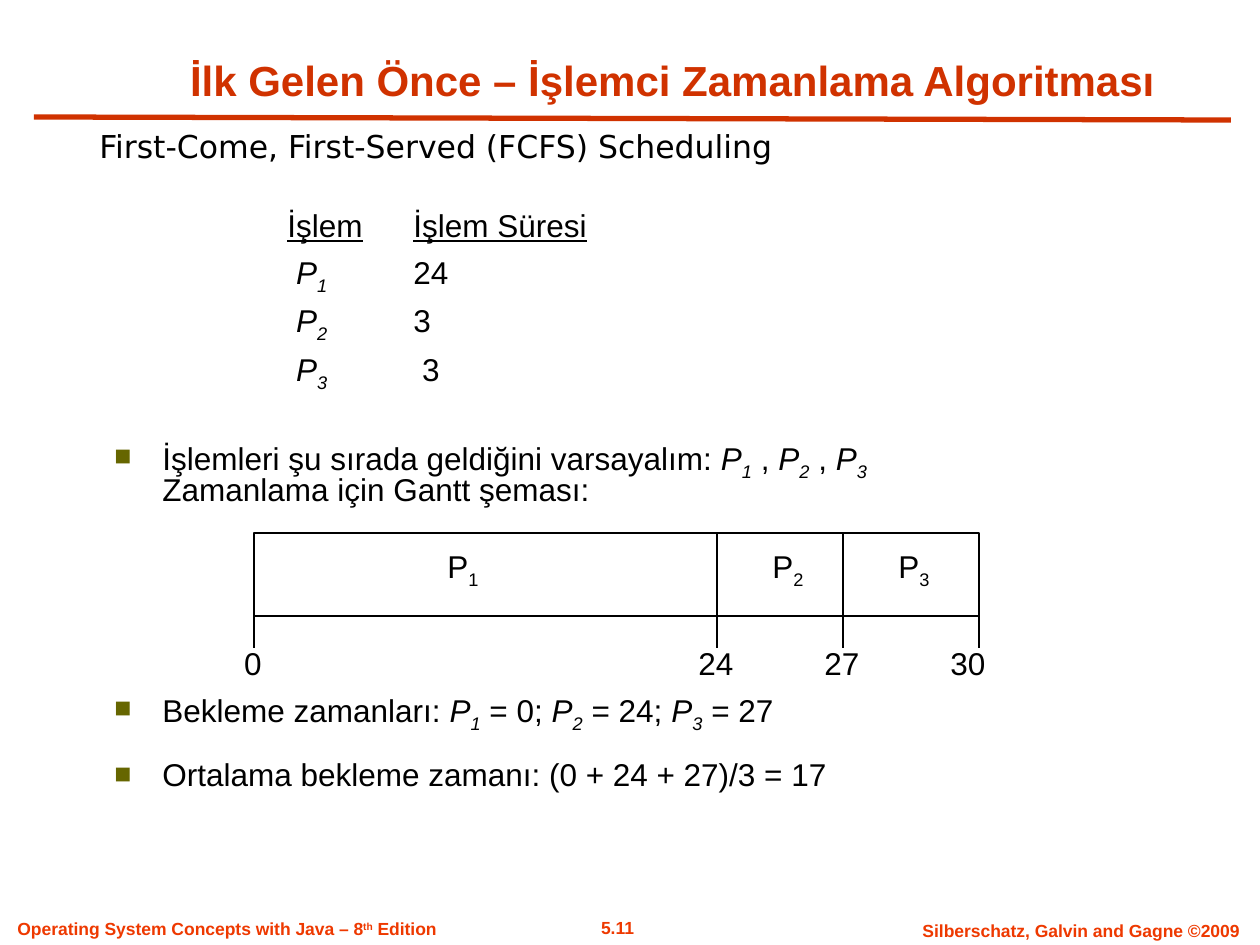
import pptx
import pptx.util
import pptx.dml.color
import pptx.enum.shapes
import pptx.enum.text
from pptx.oxml.ns import qn
from lxml import etree

PX = 914400 // 126
ALIGN = pptx.enum.text.PP_ALIGN
MIDDLE = pptx.enum.text.MSO_ANCHOR.MIDDLE
BOTTOM = pptx.enum.text.MSO_ANCHOR.BOTTOM
LINE = pptx.enum.shapes.MSO_CONNECTOR.STRAIGHT
Pt = pptx.util.Pt
rgb = pptx.dml.color.RGBColor.from_string

deck = pptx.Presentation()
deck.slide_width, deck.slide_height = 1260 * PX, 945 * PX
slide = deck.slides.add_slide(deck.slide_layouts[6])
shapes = slide.shapes


def write(par, text, size=18, color="000000", bold=False, slant=True, shift=-25):
    """Add runs split at ~, in turn plain, letter and raised or lowered mark."""
    for i, part in enumerate(text.split("~")):
        if not part:
            continue
        run = par.add_run()
        run.text = part
        font = run.font
        font.name, font.size, font.bold = "Arial", Pt(size), bold
        font.color.rgb = rgb(color)
        font.italic = slant and i % 3 > 0
        if i % 3 == 2:
            font._element.set("baseline", str(shift * 1000))


def rule(x1, y1, x2, y2, color="000000", width=0.75):
    line = shapes.add_connector(LINE, x1 * PX, y1 * PX, x2 * PX, y2 * PX)
    line.line.color.rgb = rgb(color)
    line.line.width = Pt(width)
    etree.SubElement(line._element.spPr, qn("a:effectLst"))


# Footer, title and subtitle
for text, x, y, w, align in [
    ("5.11", 556, 911, 123, ALIGN.CENTER),
    ("Silberschatz, Galvin and Gagne ©2009", 894, 914, 374, ALIGN.CENTER),
    ("Operating System Concepts with Java – 8~~th~ Edition", 5, 912, 447, ALIGN.LEFT),
]:
    frame = shapes.add_textbox(x * PX, y * PX, w * PX, 34 * PX).text_frame
    frame.word_wrap = True
    frame.paragraphs[0].alignment = align
    write(frame.paragraphs[0], text, 10, "EE3900", True, False, 30)

rule(34, 117, 1231, 120, "D03200", 3)

frame = shapes.add_textbox(105 * PX, 48 * PX, 1135 * PX, 63 * PX).text_frame
frame.word_wrap = True
frame.vertical_anchor = BOTTOM
frame.paragraphs[0].alignment = ALIGN.CENTER
write(frame.paragraphs[0], "İlk Gelen Önce – İşlemci Zamanlama Algoritması", 24, "D03200", True)

frame = shapes.add_textbox(87 * PX, 121 * PX, 911 * PX, 50 * PX).text_frame
frame.word_wrap = True
frame.text = "First-Come, First-Served (FCFS) Scheduling"
font = frame.paragraphs[0].runs[0].font
font.name, font.size, font.color.rgb = "DejaVu Sans", Pt(18), rgb("000000")

# Process list and bullets: text, space before, bullet
body = shapes.add_textbox(102 * PX, 207 * PX, 1042 * PX, 629 * PX).text_frame
body.word_wrap = True
for i, (text, gap, mark) in enumerate([
    ("\tİşlem\tİşlem Süresi", 0, False),
    ("\t ~P~1~\t24", 7.9, False),
    ("\t ~P~2~\t3", 7.9, False),
    ("\t ~P~3~\t 3", 7.9, False),
    ("İşlemleri şu sırada geldiğini varsayalım: ~P~1~ , ~P~2~ , ~P~3"
     "\nZamanlama için Gantt şeması:", 31.5, True),
    ("Bekleme zamanları: ~P~1~ = 0; ~P~2~ = 24; ~P~3~ = 27", 107, True),
    ("Ortalama bekleme zamanı: (0 + 24 + 27)/3 = 17", 18.8, True),
]):
    par = body.add_paragraph() if i else body.paragraphs[0]
    par.line_spacing = 0.8
    par.space_before = Pt(gap)
    props = par._p.get_or_add_pPr()
    if mark:
        props.set("marL", str(48 * PX))
        props.set("indent", str(-48 * PX))
        tint = etree.SubElement(props, qn("a:buClr"))
        etree.SubElement(tint, qn("a:srgbClr"), val="666600")
        etree.SubElement(props, qn("a:buSzPct"), val="90000")
        etree.SubElement(props, qn("a:buFont"), typeface="Arial")
        etree.SubElement(props, qn("a:buChar"), char="■")
    else:
        tabs = etree.SubElement(props, qn("a:tabLst"))
        for x in (173, 299):
            etree.SubElement(tabs, qn("a:tab"), pos=str(x * PX), algn="l")
    for j, row in enumerate(text.split("\n")):
        if j:
            par.add_line_break()
        if i:
            write(par, row)
            continue
        for word in row.split("\t")[1:]:
            write(par, "\t")
            write(par, word)
            par.runs[-1].font.underline = True

# Gantt chart
left, top, base, foot = 254, 533, 616, 648
edges = [left, 717, 843, 979]
bar = shapes.add_shape(pptx.enum.shapes.MSO_SHAPE.RECTANGLE, left * PX, top * PX,
                       (edges[-1] - left) * PX, (base - top) * PX)
bar.shadow.inherit = False
bar.fill.solid()
bar.fill.fore_color.rgb = rgb("FFFFFF")
bar.line.color.rgb = rgb("000000")
bar.line.width = Pt(0.75)

for x in edges:
    rule(x, base, x, foot)
for x in edges[1:-1]:
    rule(x, top, x, base)

for text, mid, y, h in [
    ("P~~1", 463, 541, 55), ("P~~2", 788, 541, 55), ("P~~3", 914, 541, 55),
    ("0", 253, 638, 50), ("24", 716, 638, 50), ("27", 842, 638, 50), ("30", 968, 638, 50),
]:
    frame = shapes.add_textbox((mid - 30) * PX, y * PX, 60 * PX, h * PX).text_frame
    frame.word_wrap = False
    frame.vertical_anchor = MIDDLE
    frame.paragraphs[0].alignment = ALIGN.CENTER
    write(frame.paragraphs[0], text, slant=False)

deck.save("out.pptx")
